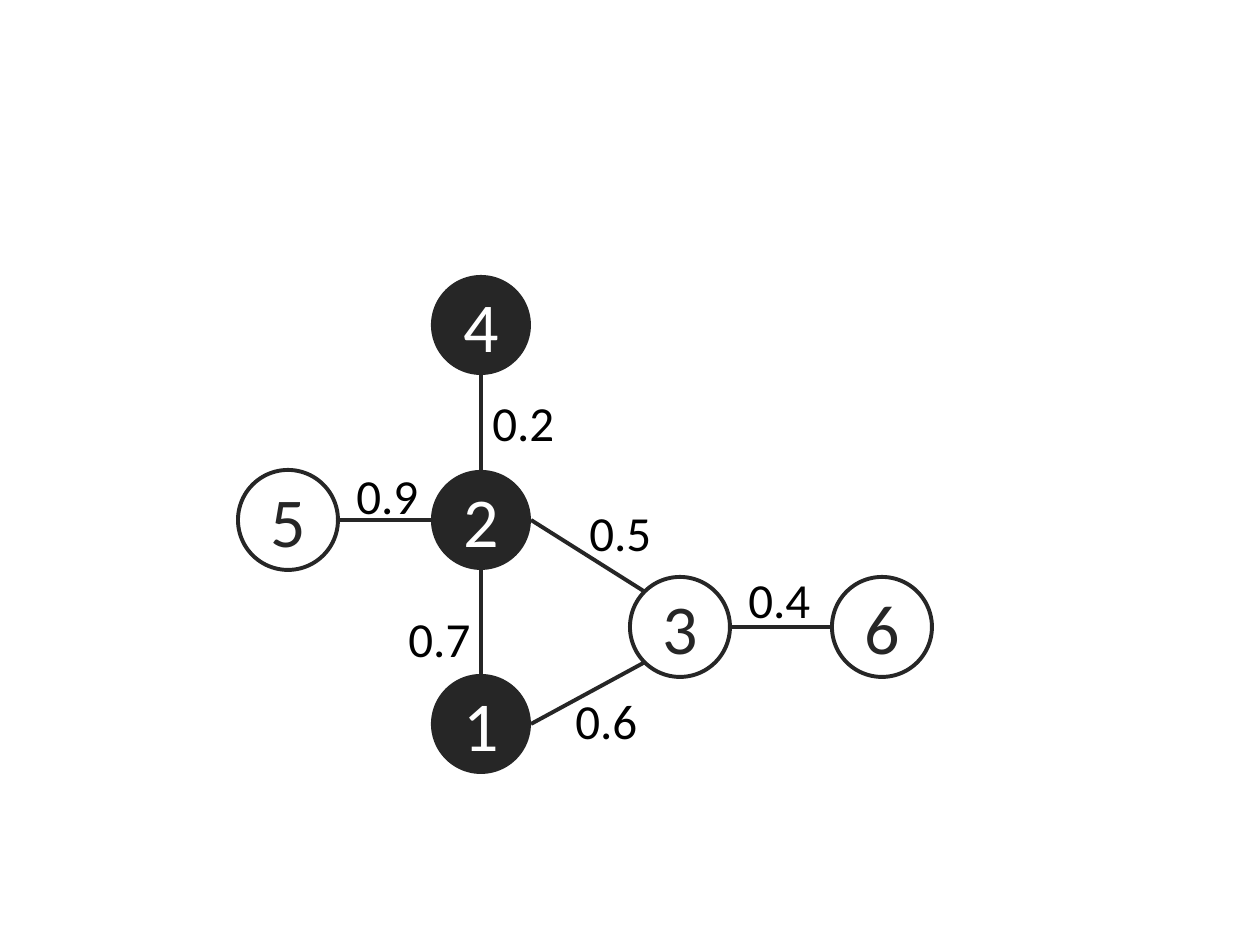
"""Build a slide with a weighted graph of six nodes."""
from dataclasses import dataclass
from math import cos, radians, sin

from pptx import Presentation
from pptx.dml.color import RGBColor as RGB
from pptx.enum.shapes import MSO_CONNECTOR as CONN, MSO_SHAPE as SHAPE
from pptx.enum.text import MSO_ANCHOR as ANCHOR, MSO_AUTO_SIZE as AUTO, PP_ALIGN as ALIGN
from pptx.oxml.ns import qn
from pptx.util import Emu, Pt
from lxml.etree import SubElement

SCALE = 914400 // 126
DIAMETER = 100
LABEL_HEIGHT = 72


@dataclass(frozen=True)
class Theme:
    font: str = "Calibri"
    dark: RGB = RGB(0x26, 0x26, 0x26)
    light: RGB = RGB(0xFF, 0xFF, 0xFF)
    text: RGB = RGB(0, 0, 0)
    node_size: int = 40
    label_size: int = 28
    line: float = 2.25


THEME = Theme()
SITES = {"right": 0, "bottom": 90, "bottom left": 135,
         "left": 180, "top left": 225, "top": 270}
NODES = {
    "4": (431, 275, True),
    "2": (431, 470, True),
    "1": (431, 674, True),
    "3": (630, 577, False),
    "5": (238, 470, False),
    "6": (832, 577, False),
}
EDGES = [
    ("5", "right", "2", "left"),
    ("2", "top", "4", "bottom"),
    ("1", "top", "2", "bottom"),
    ("3", "top left", "2", "right"),
    ("3", "bottom left", "1", "right"),
    ("6", "left", "3", "right"),
]
WEIGHTS = [
    ("0.7", 396, 602, 93),
    ("0.6", 563, 684, 110),
    ("0.5", 577, 496, 92),
    ("0.4", 736, 563, 100),
    ("0.2", 480, 386, 113),
    ("0.9", 344, 459, 96),
]


def px(value):
    return Emu(round(value * SCALE))


def add_run(p, text, size, color):
    r = p.add_run()
    r.text = text
    r.font.name = THEME.font
    r.font.size = Pt(size)
    r.font.color.rgb = color


def add_node(slide, name, left, top, filled):
    sp = slide.shapes.add_shape(SHAPE.OVAL, px(left), px(top), px(DIAMETER), px(DIAMETER))
    sp.shadow.inherit = False
    if filled:
        sp.fill.solid()
        sp.fill.fore_color.rgb = THEME.dark
        sp.line.fill.background()
    else:
        sp.fill.background()
        sp.line.color.rgb = THEME.dark
        sp.line.width = Pt(THEME.line)
    tf = sp.text_frame
    tf.vertical_anchor = ANCHOR.MIDDLE
    p = tf.paragraphs[0]
    p.alignment = ALIGN.CENTER
    add_run(p, name, THEME.node_size, THEME.light if filled else THEME.dark)


def site_point(name, site):
    left, top, _ = NODES[name]
    radius, angle = DIAMETER / 2, radians(SITES[site])
    return px(left + radius * (1 + cos(angle))), px(top + radius * (1 + sin(angle)))


def add_edge(slide, start, start_site, end, end_site):
    line = slide.shapes.add_connector(
        CONN.STRAIGHT, *site_point(start, start_site), *site_point(end, end_site))
    line.line.color.rgb = THEME.dark
    line.line.width = Pt(THEME.line)
    SubElement(line._element.spPr, qn("a:effectLst"))


def add_weight(slide, text, left, top, width):
    box = slide.shapes.add_textbox(px(left), px(top), px(width), px(LABEL_HEIGHT))
    tf = box.text_frame
    tf.word_wrap = True
    tf.auto_size = AUTO.SHAPE_TO_FIT_TEXT
    add_run(tf.paragraphs[0], text, THEME.label_size, THEME.text)


def main():
    prs = Presentation()
    prs.slide_width, prs.slide_height = px(1260), px(945)
    slide = prs.slides.add_slide(prs.slide_layouts[6])
    for name, node in NODES.items():
        add_node(slide, name, *node)
    for edge in EDGES:
        add_edge(slide, *edge)
    for weight in WEIGHTS:
        add_weight(slide, *weight)
    prs.save("out.pptx")


main()
